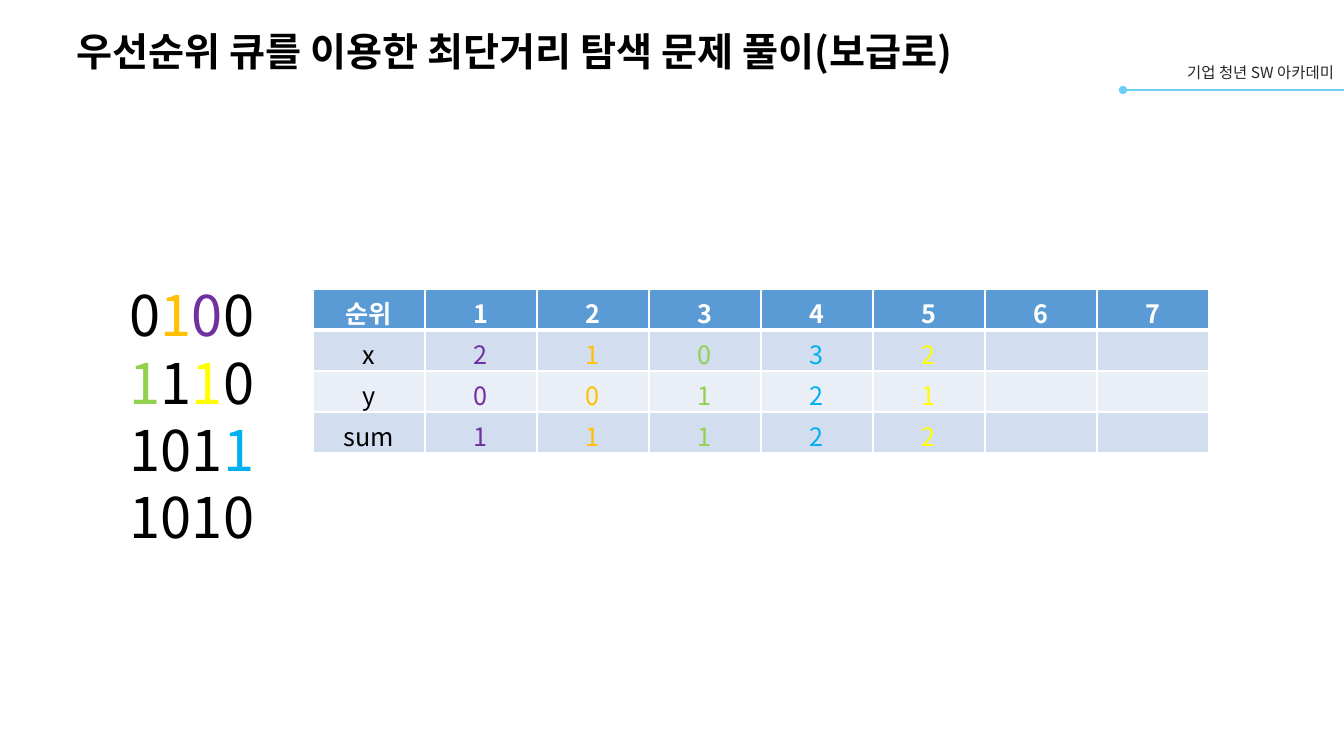
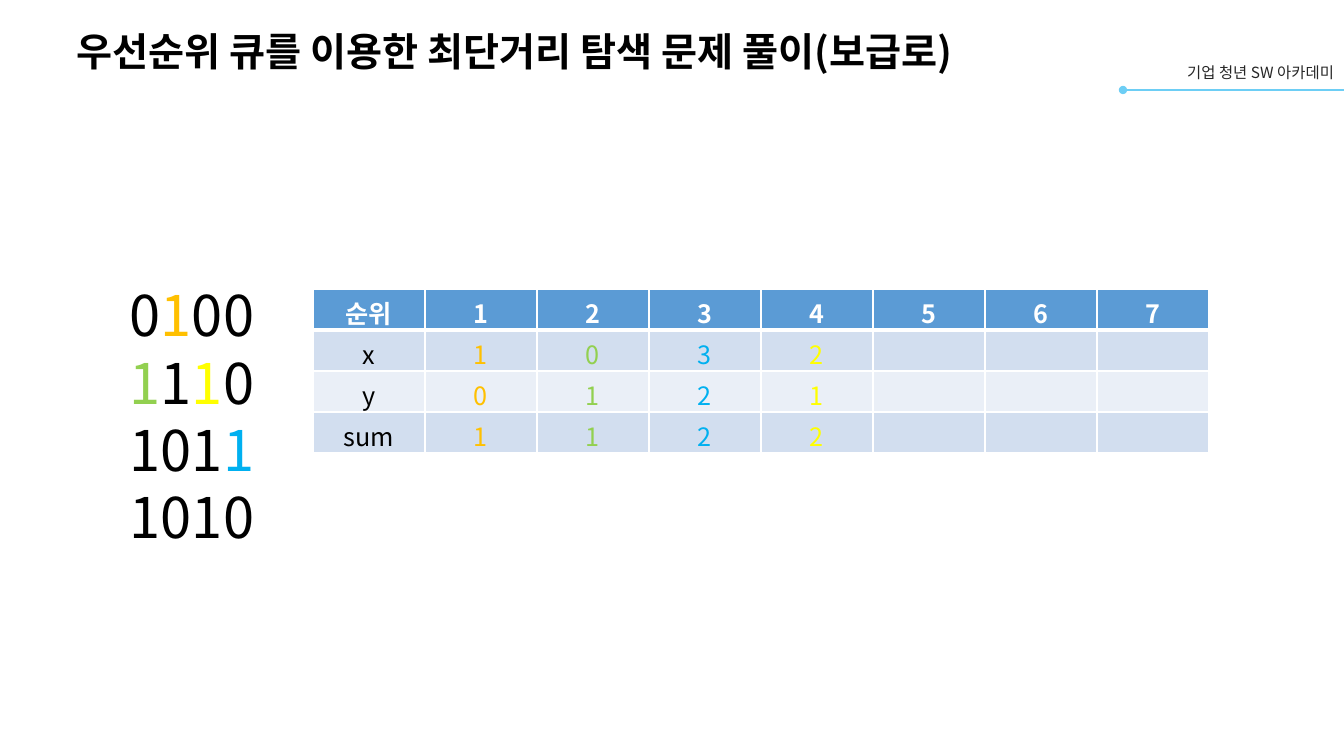
from itertools import groupby

from lxml.etree import SubElement
from pptx import Presentation
from pptx.dml.color import RGBColor
from pptx.enum.shapes import MSO_CONNECTOR
from pptx.enum.text import MSO_ANCHOR, PP_ALIGN
from pptx.oxml import parse_xml
from pptx.oxml.ns import nsdecls, qn
from pptx.util import Emu, Pt

COLORS = {
    "black": "000000", "white": "FFFFFF", "label": "262626", "rule": "6DCEF5",
    "header": "5B9BD5", "band": "D2DEEF", "light_band": "EAEFF7",
    "purple": "7030A0", "orange": "FFC000", "green": "92D050",
    "blue": "00B0F0", "yellow": "FFFF00",
}
FONT = "Noto Sans CJK KR"
PX = 914400 / 100.8
TITLE = "우선순위 큐를 이용한 최단거리 탐색 문제 풀이(보급로)"
ACADEMY = "기업 청년 SW 아카데미"
GRID = ["0100", "1110", "1011", "1010"]
ROW_NAMES = ["x", "y", "sum"]
RANKS = 7
QUEUE = [
    (2, 0, 1, "purple"),
    (1, 0, 1, "orange"),
    (0, 1, 1, "green"),
    (3, 2, 2, "blue"),
    (2, 1, 2, "yellow"),
]


def px(length):
    return Emu(round(length * PX))


def rgb(name):
    return RGBColor.from_string(COLORS[name])


class Deck:
    def __init__(self):
        self.presentation = Presentation()
        self.presentation.slide_width = px(1344)
        self.presentation.slide_height = px(756)
        self.slide = None

    def style(self, run, size, color, bold=False):
        run.font.name = FONT
        run.font.size = Pt(size)
        run.font.bold = bold
        run.font.color.rgb = rgb(color)
        SubElement(run.font._element, qn("a:ea")).set("typeface", FONT)

    def text(self, left, top, width, height, text, size, color, bold=False, align=PP_ALIGN.LEFT):
        shape = self.slide.shapes.add_textbox(px(left), px(top), px(width), px(height))
        text_frame = shape.text_frame
        text_frame.word_wrap = True
        text_frame.text = text
        paragraph = text_frame.paragraphs[0]
        paragraph.alignment = align
        for run in paragraph.runs:
            self.style(run, size, color, bold)
        return shape

    def rule(self, left, top, right):
        connector = self.slide.shapes.add_connector(
            MSO_CONNECTOR.STRAIGHT, px(left), px(top), px(right), px(top))
        connector.line.width = Pt(1)
        connector.line.color.rgb = rgb("rule")
        SubElement(connector.line._get_or_add_ln(), qn("a:headEnd")).set("type", "oval")
        SubElement(connector._element.spPr, qn("a:effectLst"))

    def start_slide(self):
        self.slide = self.presentation.slides.add_slide(self.presentation.slide_layouts[6])
        self.rule(1123, 90, 1344)
        self.text(1122, 58, 222, 29, ACADEMY, 11, "label", align=PP_ALIGN.RIGHT)
        title = self.text(67, 14, 1159, 73, TITLE, 28, "black", bold=True)
        title.text_frame.vertical_anchor = MSO_ANCHOR.MIDDLE

    def grid(self, left, top, width, height, queue):
        marks = {(x, y): color for x, y, _, color in queue}
        shape = self.slide.shapes.add_textbox(px(left), px(top), px(width), px(height))
        text_frame = shape.text_frame
        text_frame.word_wrap = True
        for y, digits in enumerate(GRID):
            paragraph = text_frame.add_paragraph() if y else text_frame.paragraphs[0]
            cells = [(digit, marks.get((x, y), "black")) for x, digit in enumerate(digits)]
            for color, group in groupby(cells, key=lambda cell: cell[1]):
                run = paragraph.add_run()
                run.text = "".join(digit for digit, _ in group)
                self.style(run, 40, color)

    def borders(self, cell, bottom):
        properties = cell._tc.get_or_add_tcPr()
        widths = {"lnL": 1, "lnR": 1, "lnT": 1, "lnB": bottom}
        for position, (side, width) in enumerate(widths.items()):
            properties.insert(position, parse_xml(
                f'<a:{side} {nsdecls("a")} w="{Pt(width)}"><a:solidFill>'
                f'<a:srgbClr val="{COLORS["white"]}"/></a:solidFill></a:{side}>'))

    def cell(self, cell, text, color, fill, header):
        cell.fill.solid()
        cell.fill.fore_color.rgb = rgb(fill)
        self.borders(cell, 3 if header else 1)
        cell.text_frame.text = text
        paragraph = cell.text_frame.paragraphs[0]
        paragraph.alignment = PP_ALIGN.CENTER
        paragraph.font.size = Pt(18)
        for run in paragraph.runs:
            self.style(run, 18, color, header)

    def queue_table(self, left, top, column_width, row_height, queue):
        ranks = [(str(rank), "white") for rank in range(1, RANKS + 1)]
        rows = [[("순위", "white")] + ranks]
        padding = [("", "black")] * (RANKS - len(queue))
        for index, name in enumerate(ROW_NAMES):
            values = [(str(entry[index]), entry[3]) for entry in queue]
            rows.append([(name, "black")] + values + padding)
        fills = ["header", "band", "light_band", "band"]
        columns = RANKS + 1
        table = self.slide.shapes.add_table(
            len(rows), columns, px(left), px(top),
            px(column_width * columns), px(row_height * len(rows))).table
        for column in table.columns:
            column.width = px(column_width)
        for row_index, (row, fill) in enumerate(zip(rows, fills)):
            table.rows[row_index].height = px(row_height)
            for column_index, (text, color) in enumerate(row):
                self.cell(table.cell(row_index, column_index), text, color, fill, row_index == 0)


def main():
    deck = Deck()
    for queue in (QUEUE, QUEUE[1:]):
        deck.start_slide()
        deck.grid(120, 276, 156, 281, queue)
        deck.queue_table(313, 289, 112, 41, queue)
    deck.presentation.save("out.pptx")


if __name__ == "__main__":
    main()
